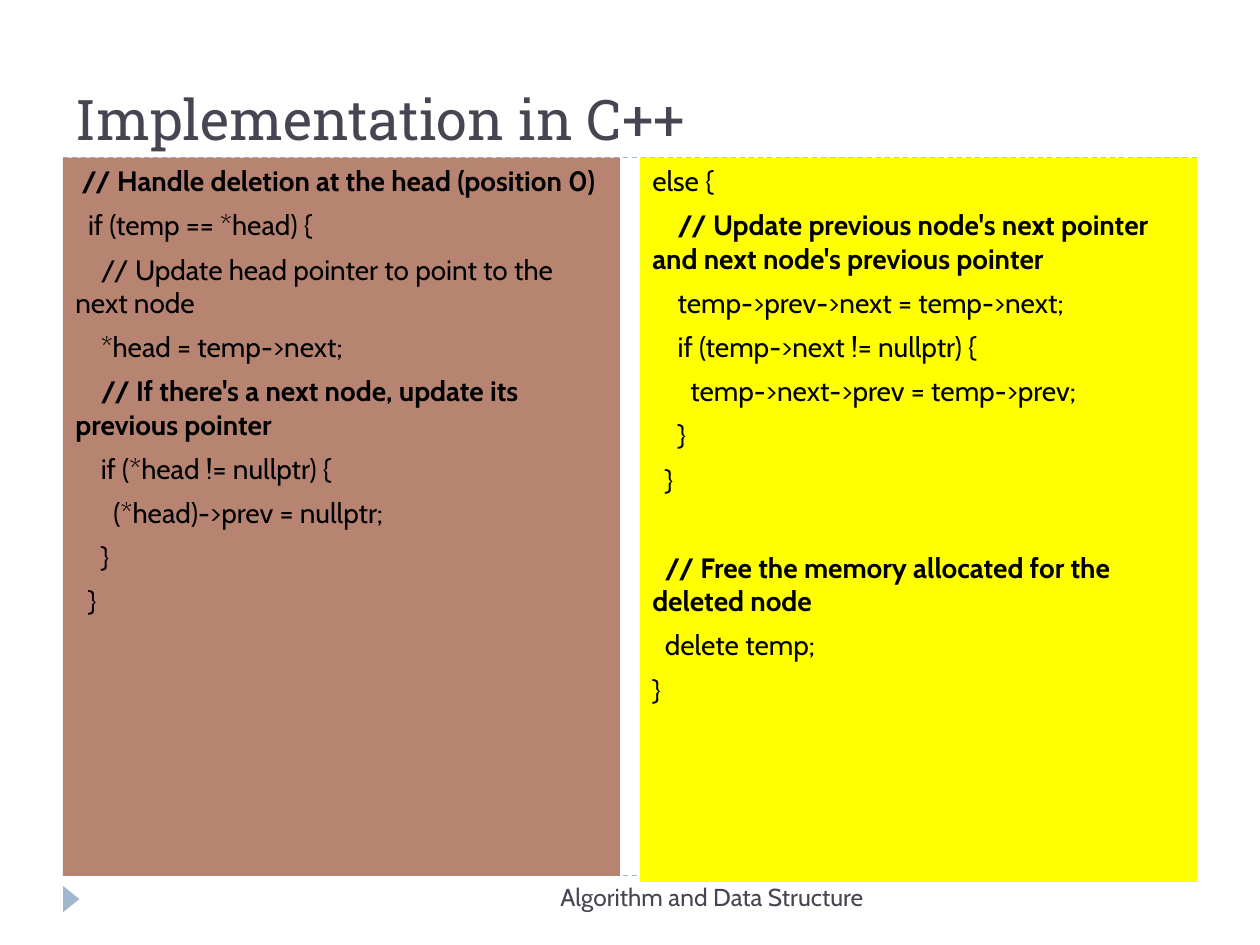
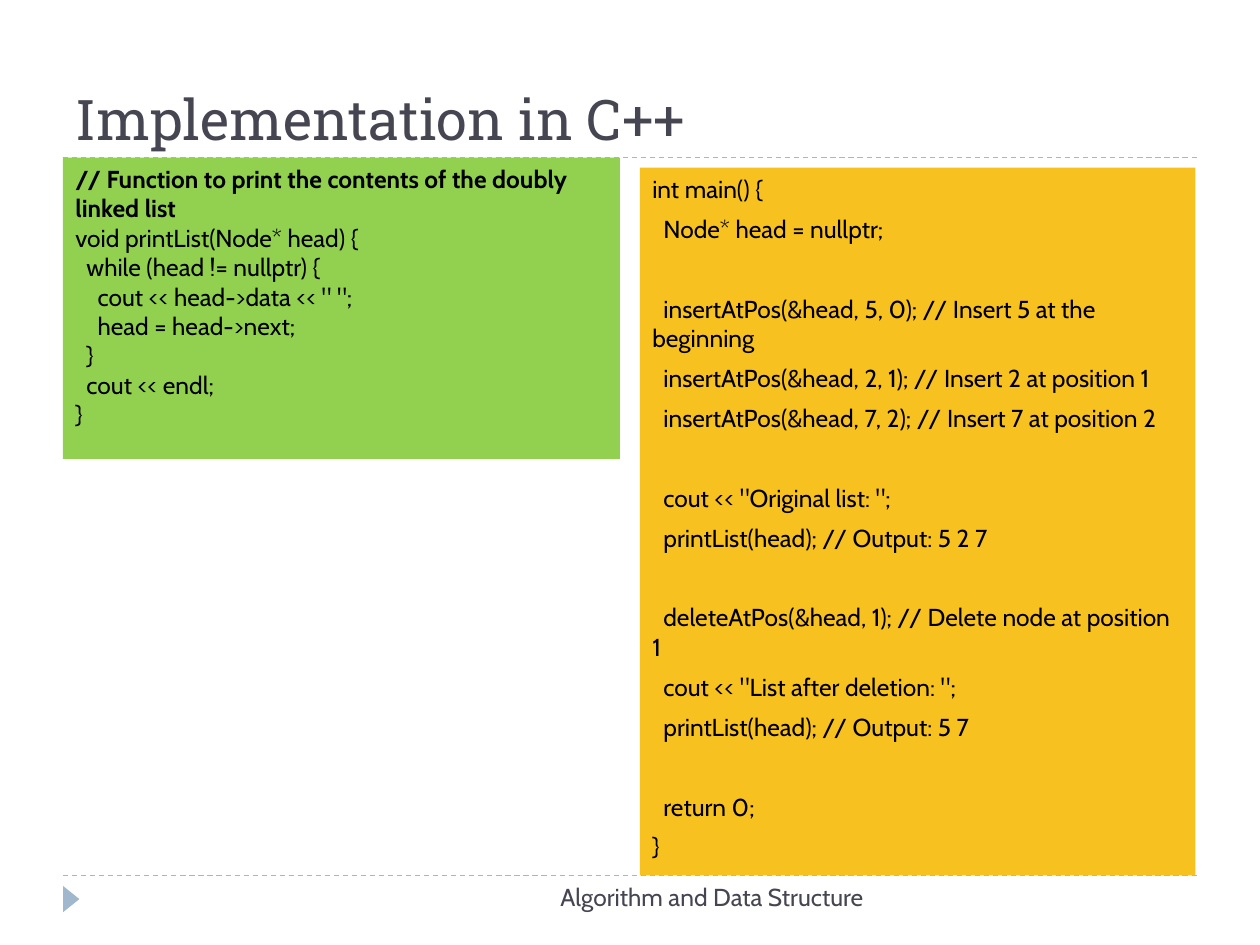
from lxml.etree import SubElement
from pptx import Presentation
from pptx.dml.color import RGBColor
from pptx.enum.dml import MSO_LINE
from pptx.enum.shapes import MSO_CONNECTOR, MSO_SHAPE
from pptx.enum.text import MSO_ANCHOR, MSO_AUTO_SIZE, PP_ALIGN
from pptx.oxml.ns import qn
from pptx.util import Cm, Pt

INK, ACCENT, CODE_INK = "464653", "9FB8CD", "000000"
TITLE_FONT, BODY_FONT = "Roboto Slab", "Cabin"
LEFT, CONTENT_WIDTH = 1.27, 22.86
TOP_RULE, BOTTOM_RULE = 3.18, 17.65
RIGHT_COLUMN, COLUMN_WIDTH = 12.9, 11.23

# In the listings "#" marks a bold line and an empty line widens the gap.
DELETE_HEAD = """\
# // Handle deletion at the head (position 0)
  if (temp == *head) {
    // Update head pointer to point to the next node
    *head = temp->next;
#    // If there's a next node, update its previous pointer
    if (*head != nullptr) {
      (*head)->prev = nullptr;
    }
  }"""

DELETE_OTHER = """\
else {
#    // Update previous node's next pointer and next node's previous pointer
    temp->prev->next = temp->next;
    if (temp->next != nullptr) {
      temp->next->prev = temp->prev;
    }
  }

#  // Free the memory allocated for the deleted node
  delete temp;
}"""

PRINT_LIST = """\
#// Function to print the contents of the doubly linked list
void printList(Node* head) {
  while (head != nullptr) {
    cout << head->data << " ";
    head = head->next;
  }
  cout << endl;
}"""

MAIN_PROGRAM = """\
int main() {
  Node* head = nullptr;

  insertAtPos(&head, 5, 0); // Insert 5 at the beginning
  insertAtPos(&head, 2, 1); // Insert 2 at position 1
  insertAtPos(&head, 7, 2); // Insert 7 at position 2

  cout << "Original list: ";
  printList(head); // Output: 5 2 7

  deleteAtPos(&head, 1); // Delete node at position 1
  cout << "List after deletion: ";
  printList(head); // Output: 5 7

  return 0;
}"""


def color(hex_string):
    return RGBColor.from_string(hex_string)


def format_runs(paragraph, font_name, size, hex_string, bold=False):
    for run in paragraph.runs:
        run.font.name = font_name
        run.font.size = Pt(size)
        run.font.bold = bold
        run.font.color.rgb = color(hex_string)


def add_filled_shape(slide, kind, box, fill):
    shape = slide.shapes.add_shape(kind, *map(Cm, box))
    shape.shadow.inherit = False
    shape.fill.solid()
    shape.fill.fore_color.rgb = color(fill)
    shape.line.fill.background()
    return shape


def add_rule(slide, top):
    rule = slide.shapes.add_connector(
        MSO_CONNECTOR.STRAIGHT, Cm(LEFT), Cm(top), Cm(LEFT + CONTENT_WIDTH), Cm(top))
    rule.line.color.rgb = color(ACCENT)
    rule.line.width = Pt(0.75)
    rule.line.dash_style = MSO_LINE.DASH
    SubElement(rule._element.spPr, qn("a:effectLst"))


def add_title(slide, text, box):
    title = slide.shapes.title
    title.left, title.top, title.width, title.height = map(Cm, box)
    frame = title.text_frame
    frame.text = text
    frame.auto_size = MSO_AUTO_SIZE.NONE
    frame.vertical_anchor = MSO_ANCHOR.BOTTOM
    frame.paragraphs[0].alignment = PP_ALIGN.LEFT
    format_runs(frame.paragraphs[0], TITLE_FONT, 32, INK)


def add_footer(slide, text, box):
    left, top, width, height = box
    marker = add_filled_shape(
        slide, MSO_SHAPE.ISOSCELES_TRIANGLE, (left - 0.1, top + 0.31, 0.53, 0.33), ACCENT)
    marker.rotation = 90
    label = slide.shapes.add_textbox(Cm(left + 6.78), Cm(top), Cm(9.73), Cm(height))
    frame = label.text_frame
    frame.word_wrap = True
    frame.margin_right = Cm(0.37)
    frame.text = text
    frame.paragraphs[0].alignment = PP_ALIGN.RIGHT
    format_runs(frame.paragraphs[0], BODY_FONT, 14, INK)


def add_code_panel(slide, listing, box, fill, size, spacing=6):
    """Add a filled panel whose lines are indented by their leading spaces."""
    panel = add_filled_shape(slide, MSO_SHAPE.RECTANGLE, box, fill)
    frame = panel.text_frame
    frame.word_wrap = True
    frame.vertical_anchor = MSO_ANCHOR.TOP
    paragraph = frame.paragraphs[0]
    gap = spacing
    for number, line in enumerate(listing.split("\n")):
        if not line:
            gap = 2 * spacing + 1.2 * size
            continue
        if number:
            paragraph = frame.add_paragraph()
        bold = line.startswith("#")
        code = line.removeprefix("#")
        paragraph.text = code.lstrip()
        paragraph.alignment = PP_ALIGN.LEFT
        paragraph.space_before = Pt(gap)
        indent = Cm(0.008 * size * (len(code) - len(paragraph.text)))
        properties = paragraph._p.get_or_add_pPr()
        properties.set("marL", "0")
        properties.set("indent", str(indent))
        format_runs(paragraph, BODY_FONT, size, CODE_INK, bold)
        gap = spacing


def add_implementation_slide(presentation):
    slide = presentation.slides.add_slide(presentation.slide_layouts[5])
    for top in (TOP_RULE, BOTTOM_RULE):
        add_rule(slide, top)
    add_title(slide, "Implementation in C++", (LEFT, 0.64, CONTENT_WIDTH, 2.54))
    add_footer(slide, "Algorithm and Data Structure",
               (LEFT, BOTTOM_RULE, CONTENT_WIDTH, 1.02))
    return slide


def main():
    presentation = Presentation()
    presentation.slide_width, presentation.slide_height = Cm(25.4), Cm(19.05)

    deletion = add_implementation_slide(presentation)
    add_code_panel(deletion, DELETE_OTHER,
                   (RIGHT_COLUMN, TOP_RULE, COLUMN_WIDTH, 14.6), "FFFF00", 16)
    add_code_panel(deletion, DELETE_HEAD,
                   (LEFT, TOP_RULE, COLUMN_WIDTH, 14.48), "B88472", 16)

    usage = add_implementation_slide(presentation)
    add_code_panel(usage, PRINT_LIST,
                   (LEFT, TOP_RULE, COLUMN_WIDTH, 6.07), "92D050", 14, spacing=0)
    add_code_panel(usage, MAIN_PROGRAM,
                   (RIGHT_COLUMN, 3.38, 11.2, 14.27), "F7C120", 14)

    presentation.save("out.pptx")


if __name__ == "__main__":
    main()
